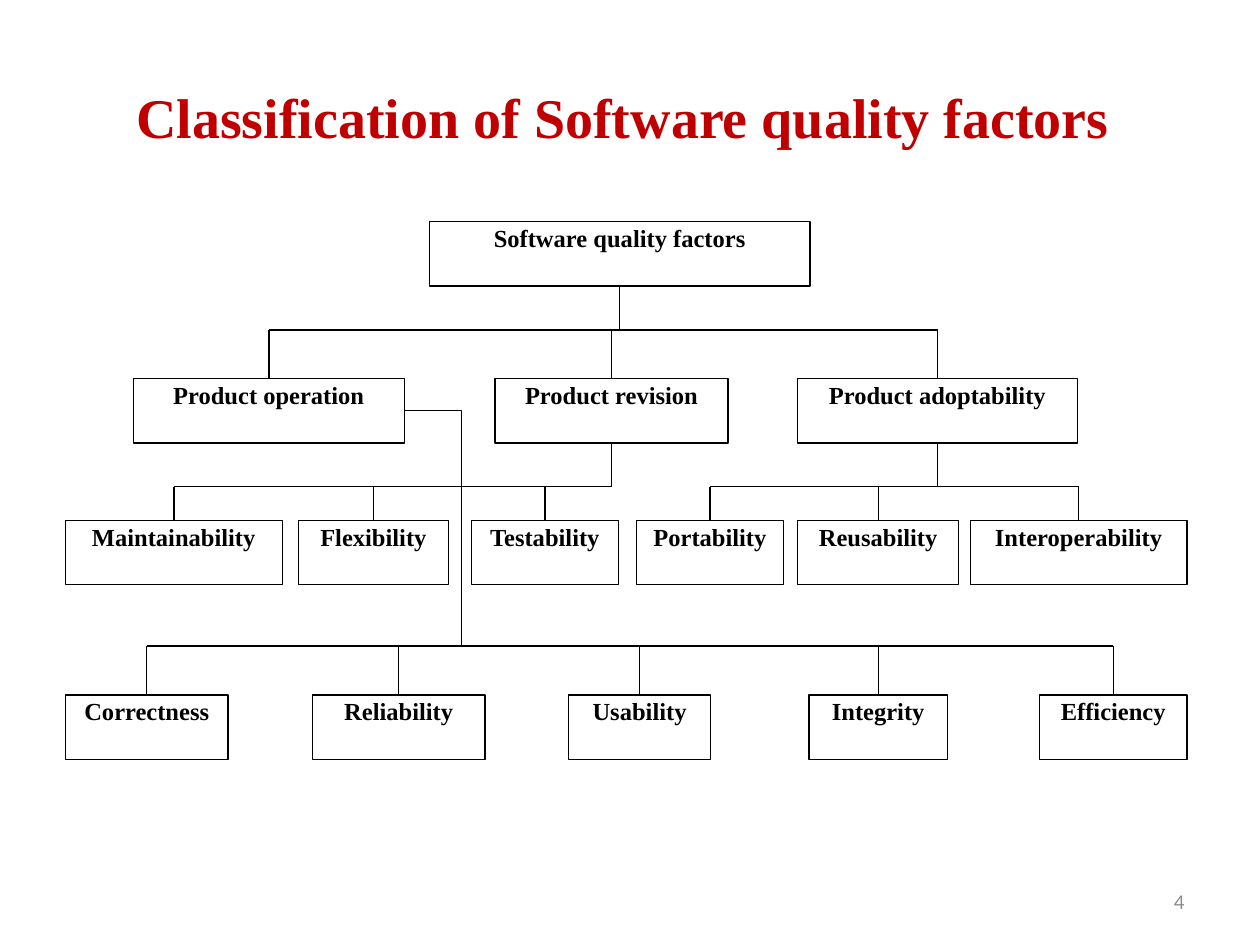
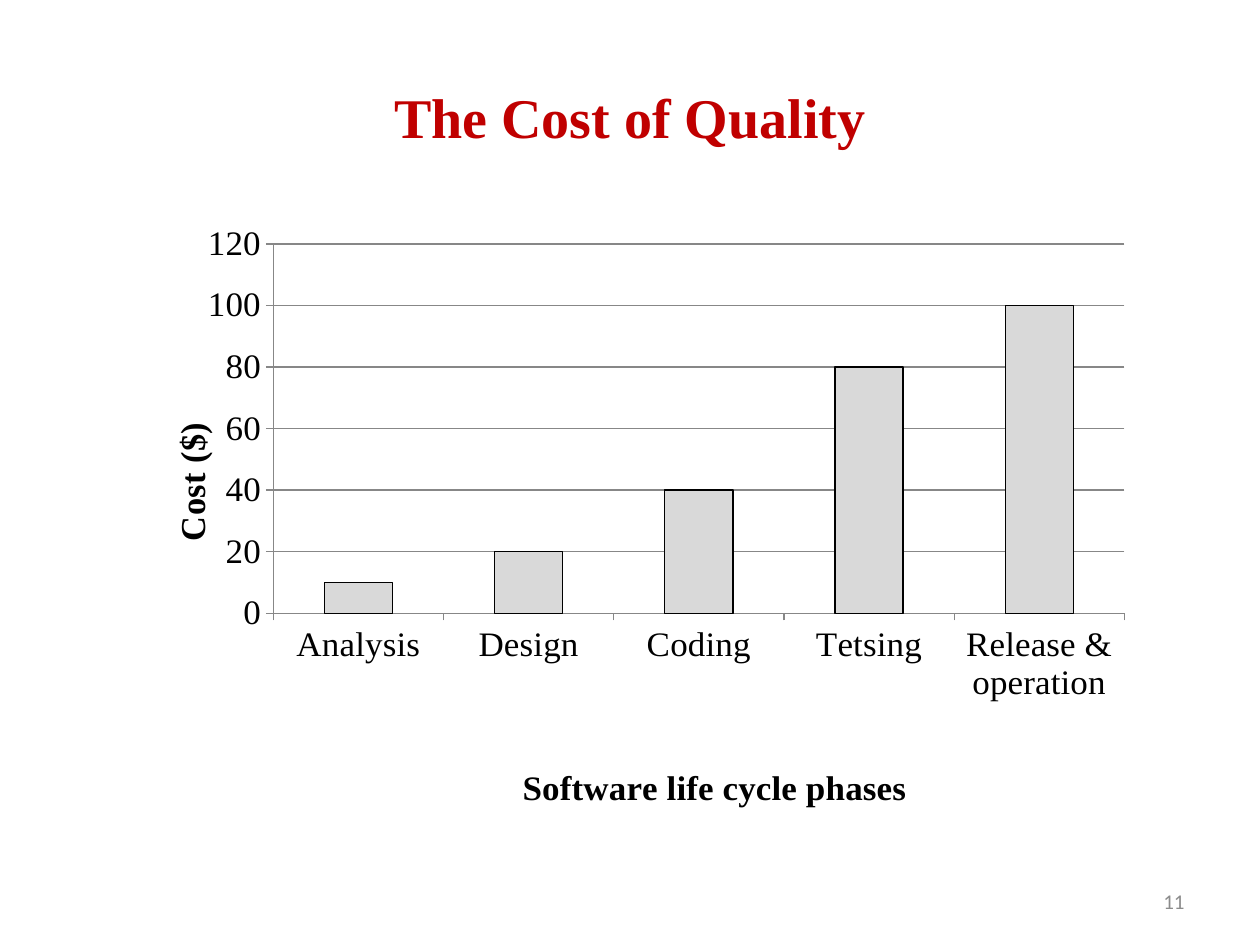
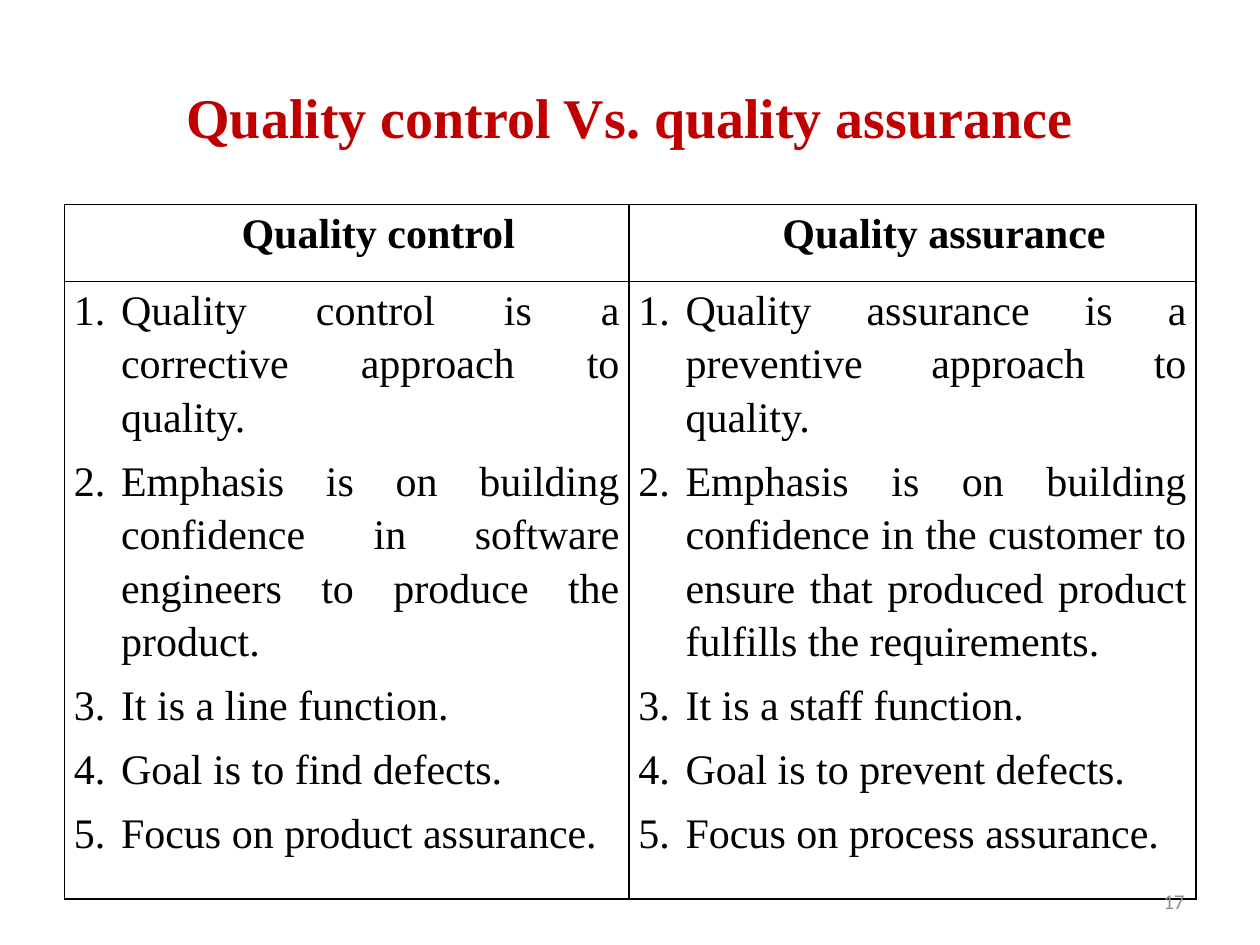
import lxml.etree
import pptx
import pptx.chart.data
import pptx.dml.color
import pptx.enum.chart
import pptx.enum.shapes
import pptx.enum.text
import pptx.oxml.ns
import pptx.util

Cm, Pt = pptx.util.Cm, pptx.util.Pt
qn = pptx.oxml.ns.qn
ALIGN = pptx.enum.text.PP_ALIGN
ANCHOR = pptx.enum.text.MSO_ANCHOR
CONNECTOR = pptx.enum.shapes.MSO_CONNECTOR

# Shared style
COLOURS = {name: pptx.dml.color.RGBColor.from_string(value) for name, value in {
    "title": "C00000", "ink": "000000", "paper": "FFFFFF",
    "number": "8C8C8C", "bar": "D9D9D9", "grid": "878787"}.items()}
SERIF = "Times New Roman"


def style_font(font, size, colour="ink", bold=False, name=SERIF):
    font.name, font.size, font.bold = name, Pt(size), bold
    font.color.rgb = COLOURS[colour]


def place_in_chart(element, **fractions):
    """Give a chart part a fixed layout in fractions of the chart."""
    layout = element.find(qn("c:layout"))
    if layout is None:
        layout = lxml.etree.Element(qn("c:layout"))
        element.insert(0, layout)
    manual = lxml.etree.SubElement(layout, qn("c:manualLayout"))
    if "w" in fractions:
        lxml.etree.SubElement(manual, qn("c:layoutTarget")).set("val", "inner")
    for mode in ("xMode", "yMode"):
        lxml.etree.SubElement(manual, qn("c:" + mode)).set("val", "edge")
    for key, value in fractions.items():
        lxml.etree.SubElement(manual, qn("c:" + key)).set("val", str(value))


deck = pptx.Presentation()
deck.slide_width, deck.slide_height = Cm(25.4), Cm(19.05)

# Pages with title and page number
pages = []
for heading, number in (("Classification of Software quality factors ", 4),
                        ("The Cost of Quality", 11),
                        ("Quality control Vs. quality assurance", 17)):
    page = deck.slides.add_slide(deck.slide_layouts[5])
    title = page.shapes.title
    title.left, title.top, title.width, title.height = Cm(1.27), Cm(0.76), Cm(22.86), Cm(3.18)
    title.text_frame.text = heading
    title.text_frame.vertical_anchor = ANCHOR.MIDDLE
    para = title.text_frame.paragraphs[0]
    para.alignment = ALIGN.CENTER
    style_font(para.runs[0].font, 32, "title", bold=True)

    box = page.shapes.add_textbox(Cm(18.2), Cm(17.65), Cm(5.93), Cm(1.02))
    box.text_frame.word_wrap = True
    box.text_frame.vertical_anchor = ANCHOR.MIDDLE
    box.text_frame.text = str(number)
    para = box.text_frame.paragraphs[0]
    para.alignment = ALIGN.RIGHT
    style_font(para.runs[0].font, 12, "number", name="Calibri")
    pages.append(page)
tree_page, chart_page, table_page = pages

# Slide 1: boxes of the factor tree, row by row (left, width, label)
BOX_HEIGHT = 1.3
rows = {
    4.47: [(8.66, 7.67, "Software quality factors")],
    7.63: [(2.69, 5.46, "Product operation"), (9.98, 4.7, "Product revision"),
           (16.08, 5.64, "Product adoptability")],
    10.49: [(1.32, 4.37, "Maintainability"), (6.02, 3.02, "Flexibility"),
            (9.5, 2.97, "Testability"), (12.83, 2.97, "Portability"),
            (16.08, 3.25, "Reusability"), (19.56, 4.37, "Interoperability")],
    14.01: [(1.32, 3.28, "Correctness"), (6.3, 3.48, "Reliability"),
            (11.46, 2.87, "Usability"), (16.31, 2.79, "Integrity"),
            (20.96, 2.97, "Efficiency")],
}
centres = {}
for top, boxes in rows.items():
    for left, width, label in boxes:
        box = tree_page.shapes.add_shape(pptx.enum.shapes.MSO_SHAPE.RECTANGLE,
                                         Cm(left), Cm(top), Cm(width), Cm(BOX_HEIGHT))
        box.shadow.inherit = False
        box.fill.solid()
        box.fill.fore_color.rgb = COLOURS["paper"]
        box.line.color.rgb = COLOURS["ink"]
        box.line.width = Pt(0.75)
        frame = box.text_frame
        frame.margin_left = frame.margin_right = Cm(0.05)
        frame.margin_top = frame.margin_bottom = Cm(0.03)
        frame.vertical_anchor = ANCHOR.TOP
        frame.text = label
        frame.paragraphs[0].alignment = ALIGN.CENTER
        style_font(frame.paragraphs[0].runs[0].font, 14, bold=True)
        centres[label] = left + width / 2

# Branches: parent stem, shared bar, one drop for each child
root_top, group_top, factor_top, operation_top = rows
factors = [label for _, _, label in rows[factor_top]]
groups = [label for _, _, label in rows[group_top]]
operations = [label for _, _, label in rows[operation_top]]
BEND = 9.3
lines = []
for parent, parent_top, bar, children, child_top in (
        ("Software quality factors", root_top, 6.65, groups, group_top),
        ("Product revision", group_top, 9.81, factors[:3], factor_top),
        ("Product adoptability", group_top, 9.81, factors[3:], factor_top),
        ("Product operation", group_top, 13.02, operations, operation_top)):
    drops = [centres[child] for child in children]
    if parent == "Product operation":
        left, width, _ = rows[group_top][0]
        stem = (left + width, parent_top + BOX_HEIGHT / 2, BEND, bar)
    else:
        stem = (centres[parent], parent_top + BOX_HEIGHT, centres[parent], bar)
    lines.append(stem)
    lines.append((min(drops), bar, max(drops + [stem[2]]), bar))
    lines += [(x, bar, x, child_top) for x in drops]

for x1, y1, x2, y2 in lines:
    bent = x1 != x2 and y1 != y2
    line = tree_page.shapes.add_connector(CONNECTOR.ELBOW if bent else CONNECTOR.STRAIGHT,
                                          Cm(x1), Cm(y1), Cm(x2), Cm(y2))
    if bent:  # a single corner
        line._element.spPr.find(qn("a:prstGeom")).set("prst", "bentConnector2")
    line.line.color.rgb = COLOURS["ink"]
    line.line.width = Pt(0.75)
    lxml.etree.SubElement(line._element.spPr, qn("a:effectLst"))

# Slide 2: cost chart
data = pptx.chart.data.CategoryChartData()
data.categories = ["Analysis", "Design", "Coding", "Tetsing", "Release & operation"]
data.add_series("Series 1", (10, 20, 40, 80, 100))
chart = chart_page.shapes.add_chart(pptx.enum.chart.XL_CHART_TYPE.COLUMN_STACKED,
                                    Cm(2.11), Cm(4.32), Cm(21), Cm(12.19), data).chart
chart.has_legend = False
chart.has_title = False
style_font(chart.font, 20)
plot = chart.plots[0]
plot.gap_width, plot.overlap = 150, 100
plot.vary_by_categories = False
bars = plot.series[0].format
bars.fill.solid()
bars.fill.fore_color.rgb = COLOURS["bar"]
bars.line.color.rgb = COLOURS["ink"]
bars.line.width = Pt(0.75)
place_in_chart(chart._chartSpace.chart.plotArea, x=0.162, y=0.05, w=0.817, h=0.623)

for axis, text, x, y in ((chart.category_axis, "Software life cycle phases ", 0.395, 0.92),
                         (chart.value_axis, "Cost ($) ", 0.056, 0.33)):
    axis.major_tick_mark = pptx.enum.chart.XL_TICK_MARK.OUTSIDE
    axis.format.line.color.rgb = COLOURS["grid"]
    axis.axis_title.text_frame.text = text
    style_font(axis.axis_title.text_frame.paragraphs[0].runs[0].font, 20, bold=True)
    place_in_chart(axis.axis_title._element, x=x, y=y)
chart.category_axis.has_major_gridlines = False
scale = chart.value_axis
scale.minimum_scale, scale.maximum_scale, scale.major_unit = 0, 120, 20
scale.has_major_gridlines = True
scale.major_gridlines.format.line.color.rgb = COLOURS["grid"]

# Slide 3: comparison table
columns = {
    "Quality control": [
        "Quality control is a corrective approach to quality.",
        "Emphasis is on building confidence in software engineers to produce the product.",
        "It is a line function.",
        "Goal is to find defects.",
        "Focus on product assurance."],
    "Quality assurance": [
        "Quality assurance is a preventive approach to quality.",
        "Emphasis is on building confidence in the customer to ensure that produced "
        "product fulfills the requirements.",
        "It is a staff function.",
        "Goal is to prevent defects.",
        "Focus on process assurance."],
}
table = table_page.shapes.add_table(2, 2, Cm(1.3), Cm(4.12), Cm(22.81), Cm(14)).table
table.first_row = table.horz_banding = False
table.columns[0].width, table.columns[1].width = Cm(11.38), Cm(11.43)
table.rows[0].height, table.rows[1].height = Cm(1.55), Cm(12.45)

for column, (heading, points) in enumerate(columns.items()):
    for row, texts in enumerate(([heading], points)):
        cell = table.cell(row, column)
        cell.margin_left = cell.margin_right = Cm(0.19)
        cell.margin_top = cell.margin_bottom = 0
        cell.text_frame.text = "\n".join(texts)
        for para in cell.text_frame.paragraphs:
            style_font(para.runs[0].font, 24, bold=row == 0)
            para.line_spacing = 1.15
            props = para._p.get_or_add_pPr()
            if row == 0:
                para.alignment = ALIGN.CENTER
                props.set("marL", str(Cm(1.27)))
                props.set("indent", "0")
            else:
                para.alignment = ALIGN.JUSTIFY
                para.space_after = Pt(6)
                props.set("marL", str(Cm(0.95)))
                props.set("indent", str(-Cm(0.95)))
                lxml.etree.SubElement(props, qn("a:buAutoNum")).set("type", "arabicPeriod")
        cell_props = cell._tc.get_or_add_tcPr()
        for side in ("lnL", "lnR", "lnT", "lnB"):
            border = lxml.etree.SubElement(cell_props, qn("a:" + side), w=str(Pt(1)))
            fill = lxml.etree.SubElement(border, qn("a:solidFill"))
            lxml.etree.SubElement(fill, qn("a:srgbClr")).set("val", str(COLOURS["ink"]))
        cell.fill.background()

# Page number stays above the table
number_box = table_page.shapes[1]._element
table_page.shapes._spTree.append(number_box)

deck.save("out.pptx")
